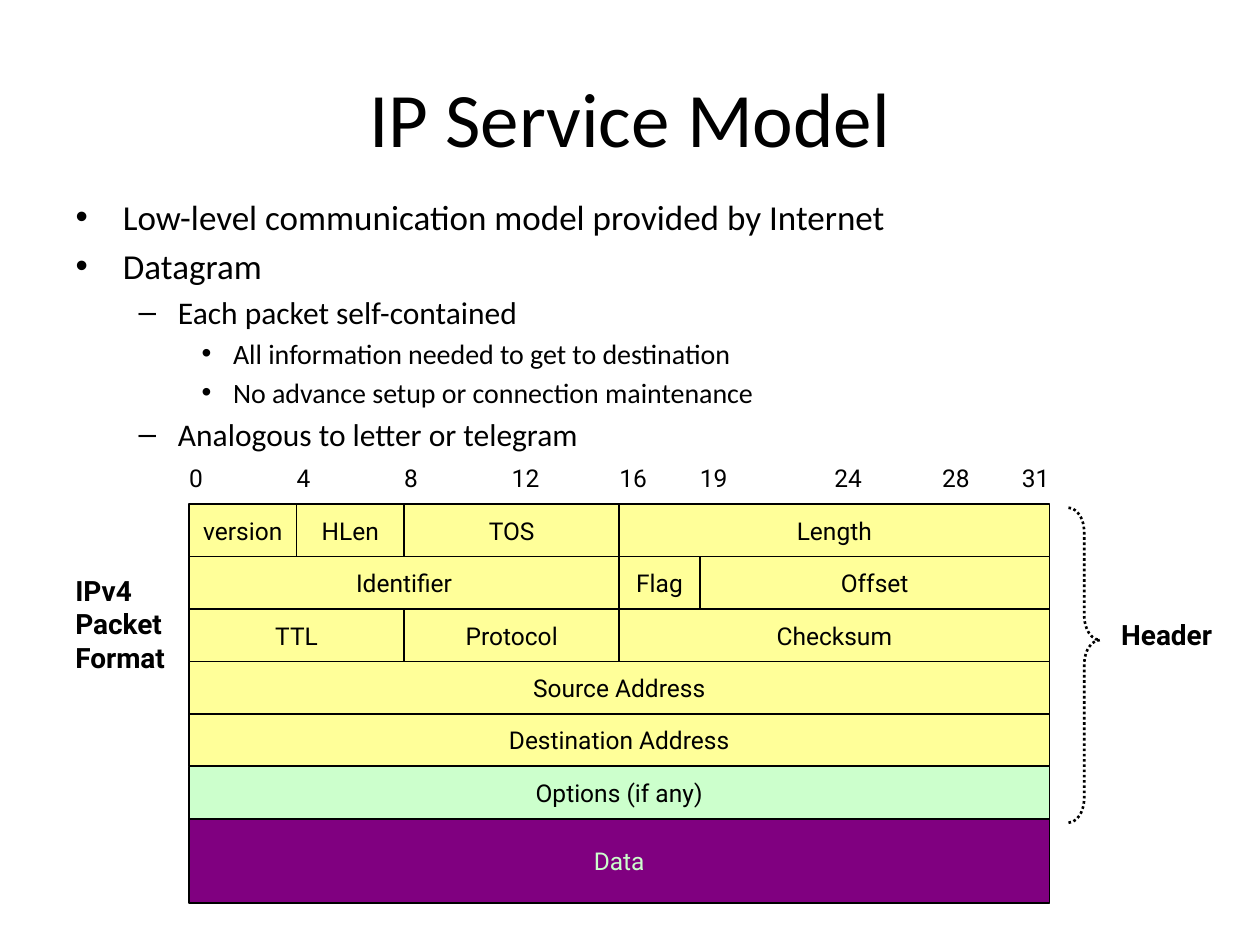
from pptx import Presentation
from pptx.dml.color import RGBColor
from pptx.enum.dml import MSO_LINE
from pptx.enum.shapes import MSO_SHAPE
from pptx.enum.text import MSO_ANCHOR, MSO_AUTO_SIZE, PP_ALIGN
from pptx.util import Inches, Pt

LEFT, CENTER, RIGHT = PP_ALIGN.LEFT, PP_ALIGN.CENTER, PP_ALIGN.RIGHT
TOP, MIDDLE = MSO_ANCHOR.TOP, MSO_ANCHOR.MIDDLE
RECTANGLE, BRACE = MSO_SHAPE.RECTANGLE, MSO_SHAPE.RIGHT_BRACE
DOTTED = MSO_LINE.ROUND_DOT
FIXED = MSO_AUTO_SIZE.NONE

BLACK = RGBColor(0x00, 0x00, 0x00)
YELLOW = RGBColor(0xFF, 0xFF, 0x99)
GREEN = RGBColor(0xCC, 0xFF, 0xCC)
PURPLE = RGBColor(0x80, 0x00, 0x80)

TITLE = "IP Service Model"
BULLETS = [
    (0, "Low-level communication model provided by Internet"),
    (0, "Datagram"),
    (1, "Each packet self-contained"),
    (2, "All information needed to get to destination"),
    (2, "No advance setup or connection maintenance"),
    (1, "Analogous to letter or telegram"),
]
LEVEL_SIZES = [20, 18, 16]
BIT_LABELS = [0, 4, 8, 12, 16, 19, 24, 28]
LAST_BIT = 31
HEADER_ROWS = [
    [("version", 4), ("HLen", 4), ("TOS", 8), ("Length", 16)],
    [("Identifier", 16), ("Flag", 3), ("Offset", 13)],
    [("TTL", 8), ("Protocol", 8), ("Checksum", 16)],
    [("Source Address", 32)],
    [("Destination Address", 32)],
    [("Options (if any)", 32)],
]
ROW_FILLS = [YELLOW] * 5 + [GREEN]

GRID_LEFT, GRID_TOP = 1.5, 4
BIT_WIDTH = 6.83 / 32
ROW_HEIGHT = 2.5 / 6
DATA_HEIGHT = 0.67


def place(shape, left, top, width, height):
    shape.left, shape.top = Inches(left), Inches(top)
    shape.width, shape.height = Inches(width), Inches(height)


def write(para, text, size=14, font="Roboto", color=BLACK, bold=False, align=None):
    para.alignment = align
    span = para.add_run()
    span.text = text
    span.font.name = font
    span.font.size = Pt(size)
    span.font.color.rgb = color
    span.font.bold = bold


def add_label(page, area, lines, anchor=TOP, left=0.1, right=0.1, wrap=True, **style):
    box = page.shapes.add_textbox(*map(Inches, area))
    frame = box.text_frame
    frame.word_wrap = wrap
    frame.vertical_anchor = anchor
    frame.margin_left, frame.margin_right = Inches(left), Inches(right)
    for index, line in enumerate(lines):
        para = frame.add_paragraph() if index else frame.paragraphs[0]
        write(para, line, **style)


def add_field(page, text, bit, bits, top, height, fill, color=BLACK):
    area = (GRID_LEFT + bit * BIT_WIDTH, top, bits * BIT_WIDTH, height)
    field = page.shapes.add_shape(RECTANGLE, *map(Inches, area))
    field.shadow.inherit = False
    field.fill.solid()
    field.fill.fore_color.rgb = fill
    field.line.color.rgb = BLACK
    field.line.width = Pt(1)
    field.text_frame.vertical_anchor = MIDDLE
    write(field.text_frame.paragraphs[0], text, color=color, align=CENTER)


def add_bullets(page):
    body = page.placeholders[1]
    place(body, 0.5, 1.5, 8.9, 2.5)
    frame = body.text_frame
    frame.auto_size = FIXED
    for index, (level, text) in enumerate(BULLETS):
        para = frame.add_paragraph() if index else frame.paragraphs[0]
        para.level = level
        write(para, text, size=LEVEL_SIZES[level], font="Calibri")


def add_bit_scale(page):
    label_top = GRID_TOP - ROW_HEIGHT
    for bit in BIT_LABELS:
        area = (GRID_LEFT + bit * BIT_WIDTH, label_top, 4 * BIT_WIDTH, ROW_HEIGHT)
        add_label(page, area, [str(bit)], anchor=MIDDLE, left=0, align=LEFT)
    area = (GRID_LEFT + 30 * BIT_WIDTH, label_top, 2 * BIT_WIDTH, ROW_HEIGHT)
    add_label(page, area, [str(LAST_BIT)], anchor=MIDDLE, right=0, align=RIGHT)


def add_packet(page):
    top = GRID_TOP
    for fields, fill in zip(HEADER_ROWS, ROW_FILLS):
        bit = 0
        for text, bits in fields:
            add_field(page, text, bit, bits, top, ROW_HEIGHT, fill)
            bit += bits
        top += ROW_HEIGHT
    add_field(page, "Data", 0, 32, top, DATA_HEIGHT, PURPLE, color=GREEN)


def add_header_brace(page):
    brace = page.shapes.add_shape(BRACE, *map(Inches, (8.48, 4.03, 0.25, 2.5)))
    brace.shadow.inherit = False
    brace.adjustments[0], brace.adjustments[1] = 0.79, 0.42
    brace.fill.background()
    brace.line.color.rgb = BLACK
    brace.line.width = Pt(1.5)
    brace.line.dash_style = DOTTED


def main():
    deck = Presentation()
    deck.slide_width, deck.slide_height = Inches(10), Inches(7.5)
    page = deck.slides.add_slide(deck.slide_layouts[1])
    title = page.shapes.title
    place(title, 0.5, 0.3, 9, 1.25)
    title.text_frame.vertical_anchor = MIDDLE
    write(title.text_frame.paragraphs[0], TITLE, size=44, font="Calibri", align=CENTER)
    add_bullets(page)
    add_bit_scale(page)
    add_packet(page)
    add_label(page, (8.8, 4.85, 0.95, 0.37), ["Header"], wrap=False, size=16, bold=True)
    add_header_brace(page)
    add_label(page, (0.5, 4.5, 1, 0.9), ["IPv4 Packet", "Format"], size=16, bold=True)
    deck.save("out.pptx")


if __name__ == "__main__":
    main()
